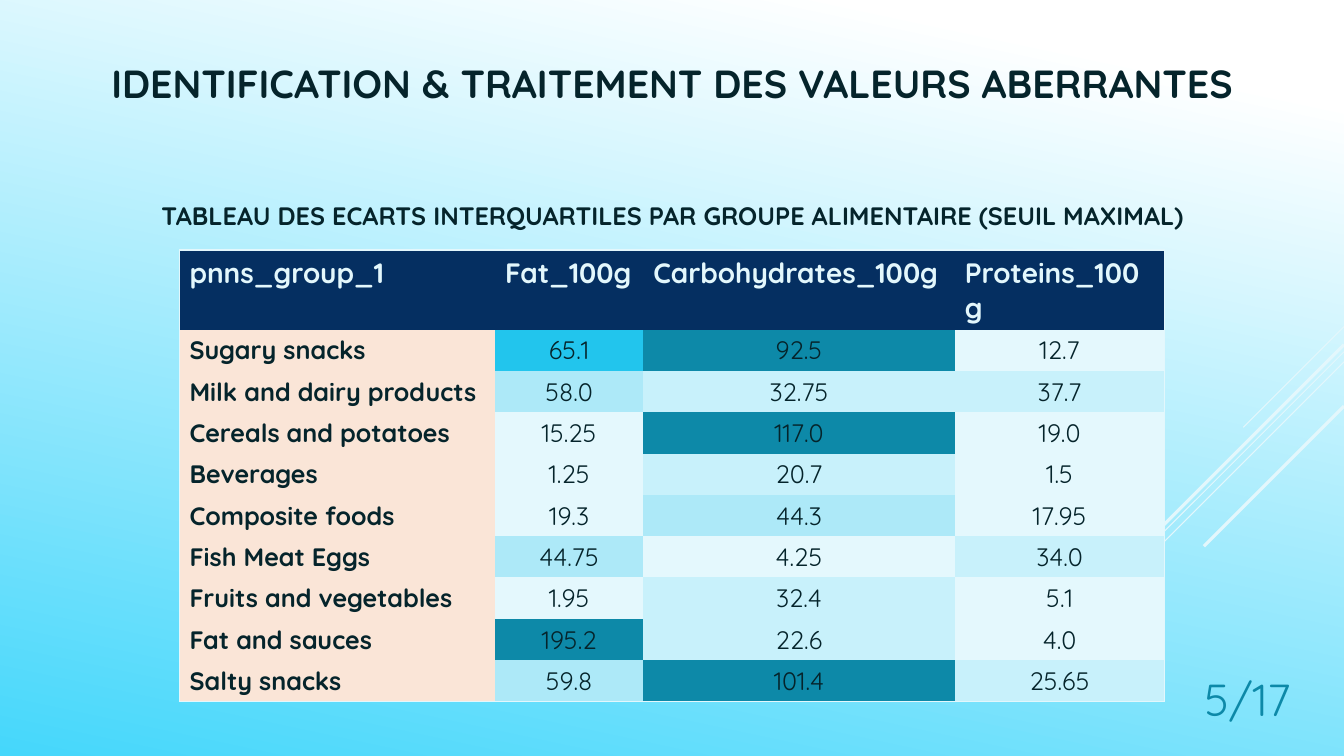
import pptx
import pptx.util
import pptx.oxml
import pptx.oxml.ns
import pptx.dml.color
import pptx.enum.shapes
import pptx.enum.text

Inches, Pt = pptx.util.Inches, pptx.util.Pt
ALIGN = pptx.enum.text.PP_ALIGN
ANCHOR = pptx.enum.text.MSO_ANCHOR

# Content
TITLE = "IDENTIFICATION & TRAITEMENT DES VALEURS ABERRANTES"
SUBTITLE = "TABLEAU DES ECARTS INTERQUARTILES PAR GROUPE ALIMENTAIRE (SEUIL MAXIMAL)"
PAGE = "5/17"
HEADERS = ["pnns_group_1", "Fat_100g", "Carbohydrates_100g", "Proteins_100g"]
FOOD_GROUPS = [
    ("Sugary snacks", "65.1", "92.5", "12.7"),
    ("Milk and dairy products", "58.0", "32.75", "37.7"),
    ("Cereals and potatoes", "15.25", "117.0", "19.0"),
    ("Beverages", "1.25", "20.7", "1.5"),
    ("Composite foods", "19.3", "44.3", "17.95"),
    ("Fish Meat Eggs", "44.75", "4.25", "34.0"),
    ("Fruits and vegetables", "1.95", "32.4", "5.1"),
    ("Fat and sauces", "195.2", "22.6", "4.0"),
    ("Salty snacks", "59.8", "101.4", "25.65"),
]
COLUMN_WIDTHS = [3.13, 1.47, 3.09, 2.08]
HEADER_HEIGHT, ROW_HEIGHT = 0.79, 0.41
# Diagonal rays: height at the right edge, horizontal run, line width
RAYS = [(3.24, 1.0, 0.75), (3.49, 3.26, 0.75), (3.59, 2.08, 0.75),
        (3.42, 1.91, 2.25), (4.03, 1.39, 2.25)]

COLORS = {"white": "FFFFFF", "sky": "45D7FB", "ink": "05242B", "teal": "0D89A8",
          "pale": "E3F7FC", "navy": "052F61", "peach": "FAE5D7"}
# Cell tint by value: lower limit, colour
HEAT = [(90, "0D89A8"), (60, "22C5ED"), (40, "ADE9F8"), (20, "C8F1FB"), (0, "E4F8FD")]


def rgb(color):
    return pptx.dml.color.RGBColor.from_string(color)


def write(frame, text, size, color, bold=False, align=ALIGN.LEFT):
    frame.word_wrap = True
    paragraph = frame.paragraphs[0]
    paragraph.alignment = align
    run = paragraph.add_run()
    run.text = text
    formats = {"name": "Quicksand", "size": Pt(size), "bold": bold}
    for attribute, value in formats.items():
        setattr(run.font, attribute, value)
    run.font.color.rgb = rgb(COLORS[color])
    return paragraph


def add_text(box, *content, **style):
    frame = slide.shapes.add_textbox(*map(Inches, box)).text_frame
    return frame, write(frame, *content, **style)


def add_borders(cell, sides):
    properties = cell._tc.get_or_add_tcPr()
    for position, side in enumerate(sides):
        properties.insert(position, pptx.oxml.parse_xml(
            f'<a:ln{side} {pptx.oxml.ns.nsdecls("a")} w="12700"><a:solidFill>'
            f'<a:srgbClr val="{COLORS["pale"]}"/></a:solidFill></a:ln{side}>'))


presentation = pptx.Presentation()
presentation.slide_width, presentation.slide_height = Inches(13.33), Inches(7.5)
slide = presentation.slides.add_slide(presentation.slide_layouts[5])

# Background
backdrop = slide.background.fill
backdrop.gradient()
backdrop.gradient_angle = 258
for stop, position, color in zip(backdrop.gradient_stops, (0.1, 1), ("white", "sky")):
    stop.position = position
    stop.color.rgb = rgb(COLORS[color])

for top, run_length, width in RAYS:
    ray = slide.shapes.add_connector(
        pptx.enum.shapes.MSO_CONNECTOR.STRAIGHT, Inches(13.33), Inches(top),
        Inches(13.33 - run_length), Inches(top + run_length))
    ray.line.color.rgb = rgb(COLORS["pale"])
    ray.line.width = Pt(width)
    ray._element.spPr.append(
        pptx.oxml.parse_xml(f'<a:effectLst {pptx.oxml.ns.nsdecls("a")}/>'))

# Title, page number and subtitle
title = slide.shapes.title
title.left, title.top, title.width, title.height = map(Inches, (0, 0.41, 13.33, 0.83))
title.text_frame.vertical_anchor = ANCHOR.MIDDLE
write(title.text_frame, TITLE, 28, "ink", bold=True, align=ALIGN.CENTER)

page_frame, _ = add_text((11.65, 6.52, 1.25, 0.73), PAGE, 32, "teal", align=ALIGN.RIGHT)
page_frame.vertical_anchor = ANCHOR.BOTTOM

_, subtitle = add_text((1.35, 1.94, 10.64, 0.55), SUBTITLE, 18, "ink",
                       bold=True, align=ALIGN.CENTER)
subtitle.space_before = Pt(10)

# Table
rows = [HEADERS, *FOOD_GROUPS]
heights = [HEADER_HEIGHT] + [ROW_HEIGHT] * len(FOOD_GROUPS)
table = slide.shapes.add_table(
    len(rows), len(HEADERS), Inches(1.78), Inches(2.48),
    Inches(sum(COLUMN_WIDTHS)), Inches(sum(heights))).table
for column, width in zip(table.columns, COLUMN_WIDTHS):
    column.width = Inches(width)

for r, (row, height) in enumerate(zip(rows, heights)):
    table.rows[r].height = Inches(height)
    for c, text in enumerate(row):
        cell = table.cell(r, c)
        if r == 0:
            fill = COLORS["navy"]
            write(cell.text_frame, text, 20, "pale", bold=True)
        elif c == 0:
            fill = COLORS["peach"]
            write(cell.text_frame, text, 18, "ink", bold=True)
        else:
            fill = next(tint for limit, tint in HEAT if float(text) >= limit)
            write(cell.text_frame, text, 18, "ink", align=ALIGN.CENTER)
        cell.fill.solid()
        cell.fill.fore_color.rgb = rgb(fill)
        outer = {"L": c == 0, "R": c == len(HEADERS) - 1,
                 "T": r == 0, "B": r == len(rows) - 1}
        add_borders(cell, [side for side, shown in outer.items() if shown])

# Plain grid without the style's inner lines
table._tbl.tblPr.find(pptx.oxml.ns.qn("a:tableStyleId")).text = (
    "{2D5ABB26-0587-4C30-8999-92F81FD0307C}")

presentation.save("out.pptx")
